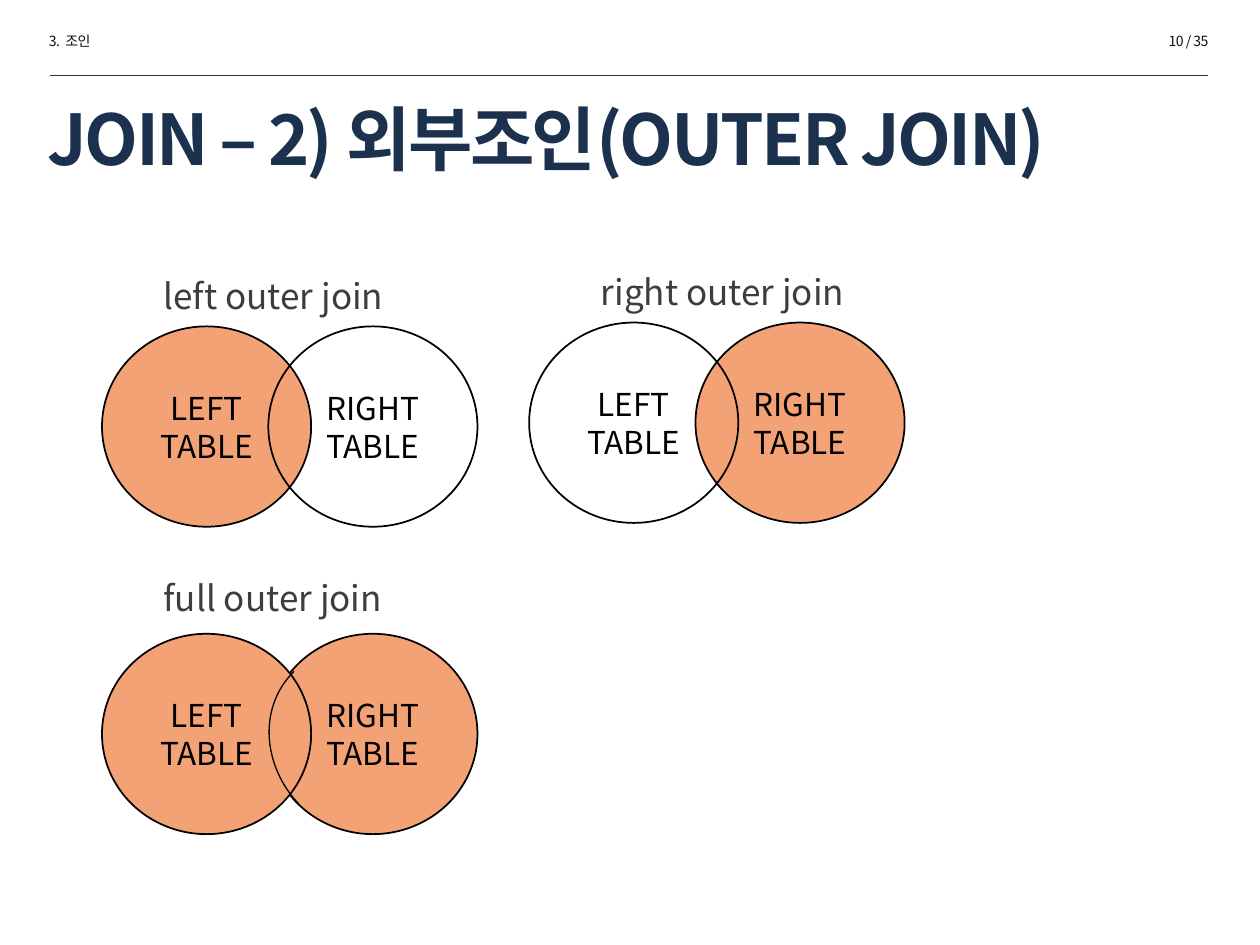
from pptx import Presentation
from pptx.dml.color import RGBColor
from pptx.enum import shapes, text
from pptx.oxml import ns
from pptx.util import Inches, Pt
from lxml import etree

FONT = "Noto Sans CJK KR"
COLORS = {"navy": "1C314E", "ink": "0D0D0D", "label": "3D3C3E",
          "fill": "F3A276", "line": "000000"}

TITLE = "JOIN – 2) 외부조인(OUTER JOIN)"
HEADERS = [("3.  조인", 0.29, text.PP_ALIGN.LEFT),
           ("10 / 35", 7.96, text.PP_ALIGN.RIGHT)]
LEFT, RIGHT = "LEFT\nTABLE", "RIGHT\nTABLE"
JOINS = [
    {"label": "left outer join", "label_at": (1.2, 2.13), "at": (0.81, 2.59),
     "order": (LEFT, RIGHT), "filled": (LEFT,)},
    {"label": "right outer join", "label_at": (4.67, 2.1), "at": (4.2, 2.56),
     "order": (RIGHT, LEFT), "filled": (RIGHT,)},
    {"label": "full outer join", "label_at": (1.2, 4.53), "at": (0.81, 5.03),
     "order": (RIGHT, LEFT), "filled": (LEFT, RIGHT)},
]
CIRCLE_SIZE = (1.66, 1.59)
CIRCLE_STEP = 1.32


def color(name):
    return RGBColor.from_string(COLORS[name])


def write(text_frame, content, size, color_name, align, bold=False, spacing=None):
    paragraph = text_frame.paragraphs[0]
    paragraph.text = content
    paragraph.alignment = align
    for run in paragraph.runs:
        run.font.size = Pt(size)
        run.font.name = FONT
        run.font.bold = bold
        run.font.color.rgb = color(color_name)
        properties = run.font._element
        etree.SubElement(properties, ns.qn("a:ea"), typeface=FONT)
        if spacing is not None:
            properties.set("spc", str(int(spacing * 100)))


def add_text(slide, box, content, size, color_name,
             align=text.PP_ALIGN.LEFT, spacing=None):
    text_frame = slide.shapes.add_textbox(*map(Inches, box)).text_frame
    text_frame.word_wrap = True
    write(text_frame, content, size, color_name, align, spacing=spacing)


def add_outline(slide, kind, box, width, fill=None):
    shape = slide.shapes.add_shape(kind, *map(Inches, box))
    shape.shadow.inherit = False
    if fill:
        shape.fill.solid()
        shape.fill.fore_color.rgb = color(fill)
    else:
        shape.fill.background()
    shape.line.color.rgb = color("line")
    shape.line.width = Pt(width)
    return shape


def add_join(slide, join):
    left, top = join["at"]
    for name in join["order"]:
        x = left + (CIRCLE_STEP if name == RIGHT else 0)
        circle = add_outline(slide, shapes.MSO_SHAPE.OVAL, (x, top, *CIRCLE_SIZE), 1,
                             "fill" if name in join["filled"] else None)
        circle.text_frame.vertical_anchor = text.MSO_ANCHOR.MIDDLE
        write(circle.text_frame, name, 18, "line", text.PP_ALIGN.CENTER)
    add_text(slide, (*join["label_at"], 2.2, 0.41), join["label"], 20, "label")


def main():
    presentation = Presentation()
    presentation.slide_width, presentation.slide_height = Inches(10), Inches(7.5)
    slide = presentation.slides.add_slide(presentation.slide_layouts[5])

    title = slide.shapes.title
    title.left, title.top, title.width, title.height = map(Inches, (0.28, 0.77, 9.31, 0.64))
    title.text_frame.vertical_anchor = text.MSO_ANCHOR.MIDDLE
    write(title.text_frame, TITLE, 40, "navy", text.PP_ALIGN.LEFT, True, -1.5)

    rule = slide.shapes.add_connector(shapes.MSO_CONNECTOR.STRAIGHT,
                                      *map(Inches, (0.4, 0.6, 9.59, 0.6)))
    rule.line.color.rgb = color("navy")
    rule.line.width = Pt(0.25)
    etree.SubElement(rule._element.spPr, ns.qn("a:effectLst"))

    for content, left, align in HEADERS:
        add_text(slide, (left, 0.21, 1.73, 0.24), content, 8, "ink", align, -0.3)
    for join in JOINS:
        add_join(slide, join)

    arc = add_outline(slide, shapes.MSO_SHAPE.ARC, (2.09, 5.2, 1.58, 1.4), 0.75)
    arc.rotation = 226.3

    presentation.save("out.pptx")


if __name__ == "__main__":
    main()
